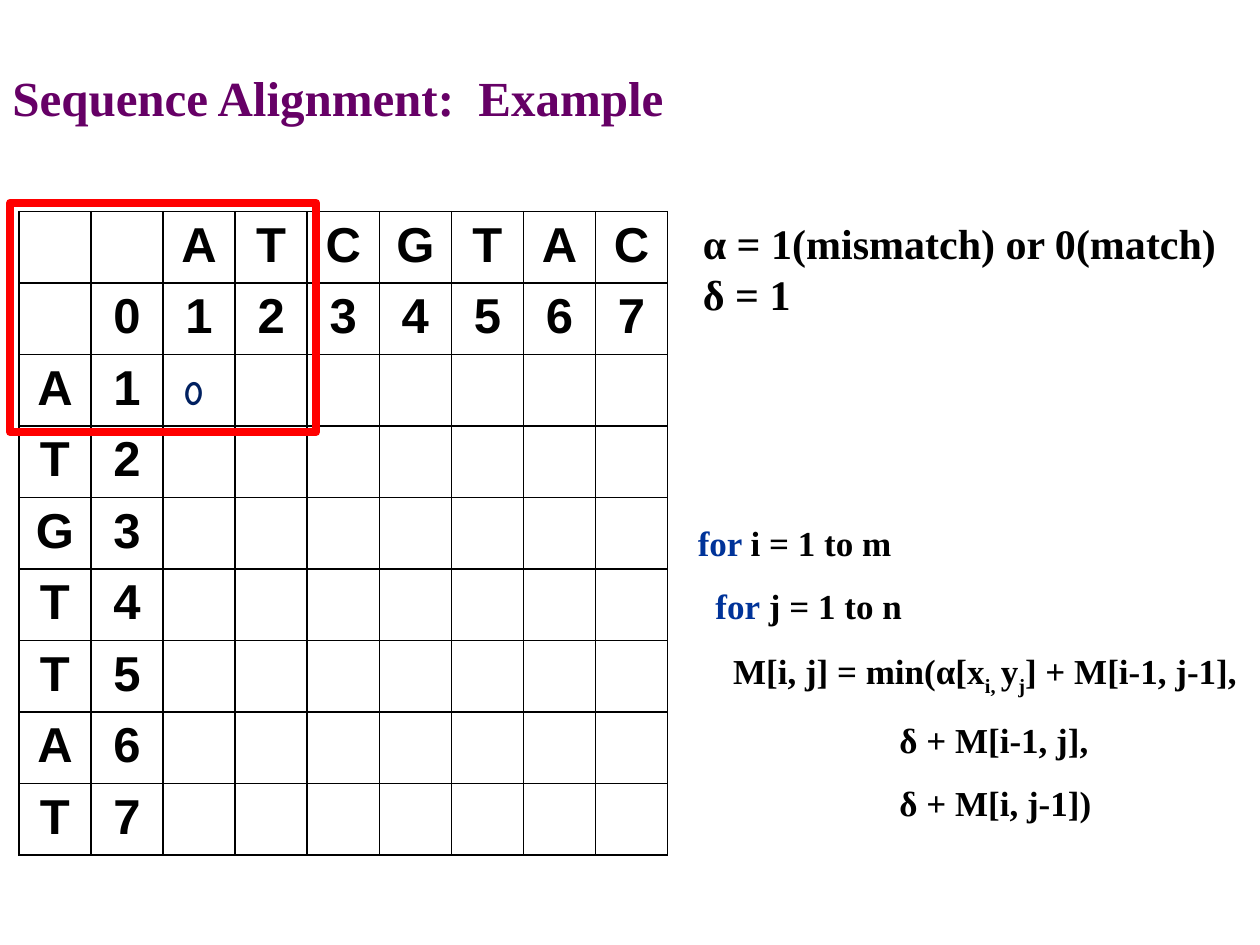
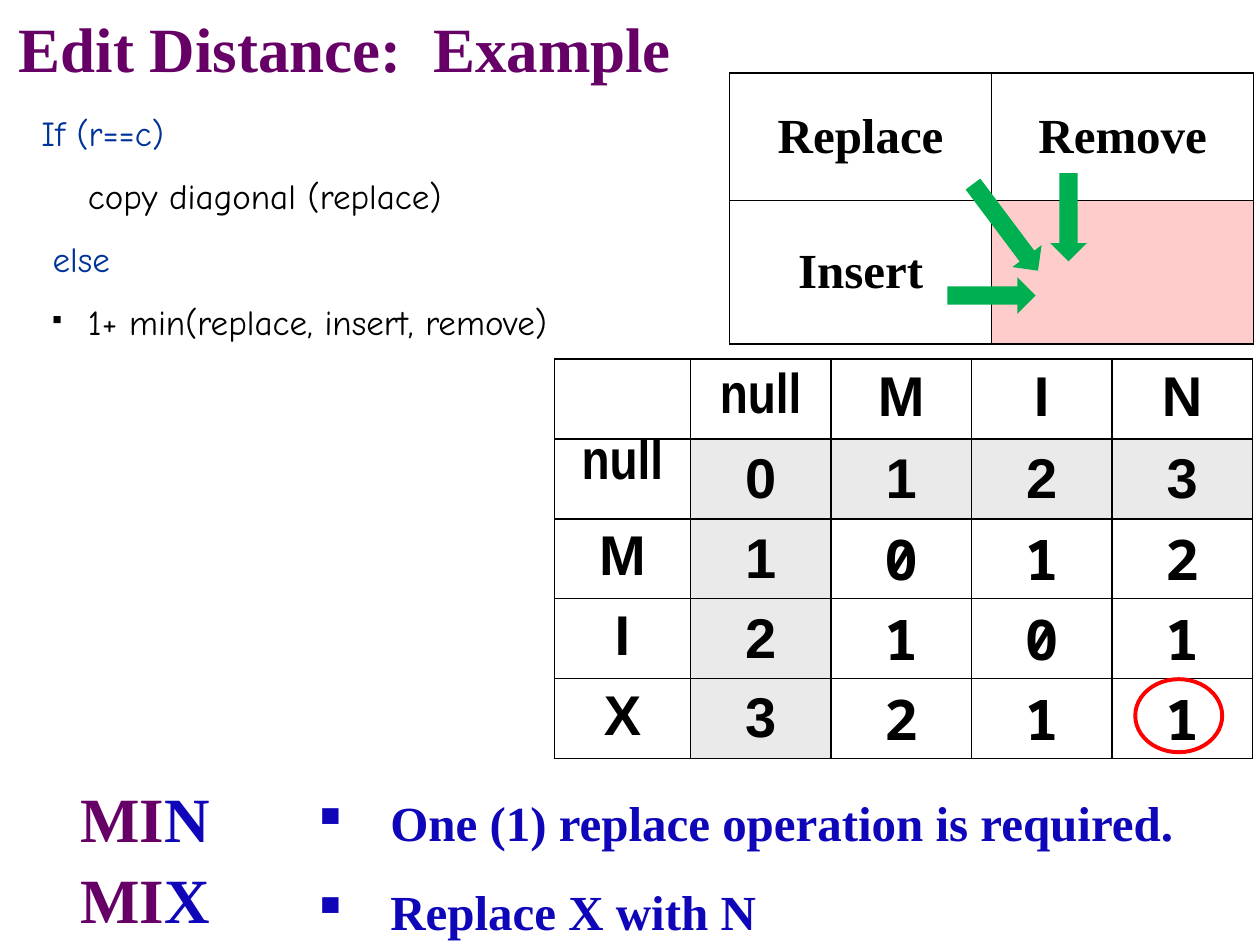
from lxml.etree import SubElement
from pptx import Presentation
from pptx.dml.color import RGBColor
from pptx.enum.shapes import MSO_SHAPE
from pptx.enum.text import MSO_ANCHOR, PP_ALIGN
from pptx.oxml.ns import qn
from pptx.util import Inches, Pt

BLACK = RGBColor(0x00, 0x00, 0x00)
WHITE = RGBColor(0xFF, 0xFF, 0xFF)
PURPLE = RGBColor(0x66, 0x00, 0x66)
KEYWORD_BLUE = RGBColor(0x00, 0x33, 0x99)
NAVY = RGBColor(0x00, 0x20, 0x60)
ANSWER_BLUE = RGBColor(0x0F, 0x06, 0xBA)
RED = RGBColor(0xFF, 0x00, 0x00)
GREEN = RGBColor(0x00, 0xB0, 0x50)
PINK = RGBColor(0xFF, 0xCC, 0xCC)
GRAY = RGBColor(0xEA, 0xEA, 0xEA)

SERIF = "Times New Roman"
SANS = "Arial"
NARROW = "Arial Narrow"
HAND = "Comic Neue"
MONO = "Noto Sans Mono"


class Deck:
    """Holds the shared style and the current slide."""

    def __init__(self):
        self.deck = Presentation()
        self.deck.slide_width = Inches(10)
        self.deck.slide_height = Inches(7.5)
        self.page = None

    def new_page(self):
        self.page = self.deck.slides.add_slide(self.deck.slide_layouts[6])

    def span(self, para, text, font, size, color=BLACK, bold=True, subscript=False):
        run = para.add_run()
        run.text = text
        run.font.name = font
        run.font.size = Pt(size)
        run.font.bold = bold
        run.font.color.rgb = color
        if subscript:
            run.font._element.set("baseline", "-25000")

    def indent(self, para, left, first=0):
        properties = para._p.get_or_add_pPr()
        properties.set("marL", str(Inches(left)))
        properties.set("indent", str(Inches(first)))

    def bullet(self, para, mark, color, percent=100):
        properties = para._p.get_or_add_pPr()
        fill = SubElement(properties, qn("a:buClr"))
        SubElement(fill, qn("a:srgbClr"), val=str(color))
        SubElement(properties, qn("a:buSzPct"), val=str(percent * 1000))
        SubElement(properties, qn("a:buChar"), char=mark)

    def text(self, left, top, width, height, lines, font, size, spacing=1.0,
             anchor=MSO_ANCHOR.TOP, bold=True):
        """Each line is a list of (text, colour[, subscript]); returns its paragraphs."""
        box = self.page.shapes.add_textbox(
            Inches(left), Inches(top), Inches(width), Inches(height))
        frame = box.text_frame
        frame.word_wrap = True
        frame.vertical_anchor = anchor
        for number, line in enumerate(lines):
            para = frame.add_paragraph() if number else frame.paragraphs[0]
            para.line_spacing = spacing
            for words, color, *subscript in line:
                self.span(para, words, font, size, color, bold, bool(subscript))
        return frame.paragraphs

    def title(self, left, top, width, spans, size=36):
        self.text(left, top, width, 0.64, [spans], SERIF, size, 0.7, MSO_ANCHOR.MIDDLE)

    def shape(self, kind, left, top, width, height, fill=None, line=None,
              weight=1, rotation=0):
        box = self.page.shapes.add_shape(
            kind, Inches(left), Inches(top), Inches(width), Inches(height))
        box.shadow.inherit = False
        box.rotation = rotation
        if fill is None:
            box.fill.background()
        else:
            box.fill.solid()
            box.fill.fore_color.rgb = fill
        if line is None:
            box.line.fill.background()
        else:
            box.line.color.rgb = line
            box.line.width = Pt(weight)
        return box

    def border(self, cell):
        properties = cell._tc.get_or_add_tcPr()
        for side in ("a:lnL", "a:lnR", "a:lnT", "a:lnB"):
            line = SubElement(properties, qn(side), w=str(Pt(1)))
            fill = SubElement(line, qn("a:solidFill"))
            SubElement(fill, qn("a:srgbClr"), val=str(BLACK))

    def table(self, left, top, widths, heights, rows, size, look):
        """look(row, column) gives the font, fill, anchor and vertical margin of a cell."""
        grid = self.page.shapes.add_table(
            len(heights), len(widths), Inches(left), Inches(top),
            Inches(sum(widths)), Inches(sum(heights))).table
        grid.first_row = grid.horz_banding = False
        for column, width in zip(grid.columns, widths):
            column.width = Inches(width)
        for row, height in zip(grid.rows, heights):
            row.height = Inches(height)
        for r, words in enumerate(rows):
            for c, word in enumerate(words):
                font, fill, anchor, margin = look(r, c)
                cell = grid.cell(r, c)
                self.border(cell)
                cell.fill.solid()
                cell.fill.fore_color.rgb = fill
                cell.vertical_anchor = anchor
                cell.margin_top = cell.margin_bottom = Inches(margin)
                if word:
                    para = cell.text_frame.paragraphs[0]
                    para.alignment = PP_ALIGN.CENTER
                    self.span(para, word, font, size)


def alignment_page(deck):
    deck.new_page()
    deck.title(0, 0.51, 5.69, [("Sequence Alignment:  Example", PURPLE)], 28)

    # Costs
    deck.text(5.48, 1.68, 4.4, 0.91,
              [[("α = 1(mismatch) or 0(match)", BLACK)], [("δ = 1", BLACK)]], SERIF, 24)

    # Recurrence
    lines = [
        [("for ", KEYWORD_BLUE), ("i = 1 to m", BLACK)],
        [("for", KEYWORD_BLUE), (" j = 1 to n", BLACK)],
        [("M[i, j] = min(α[x", BLACK), ("i, ", BLACK, True), ("y", BLACK),
         ("j", BLACK, True), ("] + M[i-1, j-1],", BLACK)],
        [("δ + M[i-1, j],", BLACK)],
        [("δ + M[i, j-1])", BLACK)],
    ]
    paras = deck.text(5.44, 3.92, 4.56, 2.56, lines, SERIF, 20, 1.5)
    for para, left in zip(paras, (0, 0.14, 0.28, 1.6, 1.6)):
        deck.indent(para, left)

    # Empty score matrix
    across, down = "ATCGTAC", "ATGTTAT"
    rows = [["", "", *across], ["", *"01234567"]]
    rows += [[letter, str(number)] + [""] * len(across)
             for number, letter in enumerate(down, 1)]
    deck.table(0.15, 1.68, [5.15 / 9] * 9, [5.1 / 9] * 9, rows, 28,
               lambda r, c: (SANS, WHITE, MSO_ANCHOR.TOP, 0.05))

    # First score and the region it belongs to
    score = deck.shape(MSO_SHAPE.RECTANGLE, 1.36, 2.93, 0.34, 0.35, WHITE)
    score.text_frame.vertical_anchor = MSO_ANCHOR.MIDDLE
    para = score.text_frame.paragraphs[0]
    para.alignment = PP_ALIGN.CENTER
    deck.span(para, "0", HAND, 20, NAVY)
    deck.shape(MSO_SHAPE.RECTANGLE, 0.08, 1.61, 2.43, 1.82, line=RED, weight=4.5)


def distance_look(r, c):
    if "null" in DISTANCES[r][c]:
        return NARROW, WHITE, MSO_ANCHOR.TOP if r else MSO_ANCHOR.MIDDLE, 0
    if r == 0 or c == 0:
        return SANS, WHITE, MSO_ANCHOR.TOP, 0.05
    if r == 1 or c == 1:
        return SANS, GRAY, MSO_ANCHOR.MIDDLE, 0.05
    return MONO, WHITE, MSO_ANCHOR.MIDDLE, 0


DISTANCES = [
    ["", "null", "M", "I", "N"],
    ["null", "0", "1", "2", "3"],
    ["M", "1", "0", "1", "2"],
    ["I", "2", "1", "0", "1"],
    ["X", "3", "2", "1", "1"],
]


def distance_page(deck):
    deck.new_page()

    # Distance matrix
    deck.table(4.4, 2.85, [1.08] + [1.115] * 4, [3.17 / 5] * 5, DISTANCES, 32,
               distance_look)
    deck.title(0.05, 0.13, 5.54, [("Edit Distance:  Example", PURPLE)])

    # Key to the three neighbours
    deck.table(5.79, 0.58, [2.08, 2.08], [1.01, 1.14],
               [["Replace", "Remove"], ["Insert", ""]], 28,
               lambda r, c: (SERIF, PINK if r and c else WHITE, MSO_ANCHOR.MIDDLE, 0.05))
    for left, top, length, rotation in ((7.52, 2.2, 0.7, 0), (8.13, 1.58, 0.7, 90),
                                        (7.55, 1.66, 0.86, 53.1)):
        deck.shape(MSO_SHAPE.RIGHT_ARROW, left, top, length, 0.29, GREEN,
                   rotation=rotation)

    # Rule
    lines = [
        [("If (r==c)", KEYWORD_BLUE)],
        [("copy diagonal (replace)", BLACK)],
        [("else", KEYWORD_BLUE)],
        [("1+ min(replace, insert, remove)", BLACK)],
    ]
    paras = deck.text(0.23, 0.67, 4.77, 2.06, lines, HAND, 20, 1.5, bold=False)
    for para, left, first in zip(paras, (0, 0.37, 0.09, 0.37), (0, 0, 0, -0.28)):
        deck.indent(para, left, first)
    deck.bullet(paras[3], "■", BLACK, 35)

    # Compared words
    for number, last in enumerate("NX"):
        deck.title(0.54, 6.24 + 0.64 * number, 1.48,
                   [("MI", PURPLE), (last, ANSWER_BLUE)])

    # Result
    deck.shape(MSO_SHAPE.OVAL, 9.01, 5.39, 0.69, 0.58, line=RED, weight=2.25)
    lines = [[("One (1) replace operation is required.", ANSWER_BLUE)],
             [("Replace X with N", ANSWER_BLUE)]]
    for para in deck.text(2.38, 6.13, 7.57, 1.26, lines, SERIF, 28, 1.5,
                          MSO_ANCHOR.MIDDLE):
        deck.indent(para, 0.62, -0.62)
        deck.bullet(para, "▪", ANSWER_BLUE)


def main():
    deck = Deck()
    alignment_page(deck)
    distance_page(deck)
    deck.deck.save("out.pptx")


if __name__ == "__main__":
    main()
